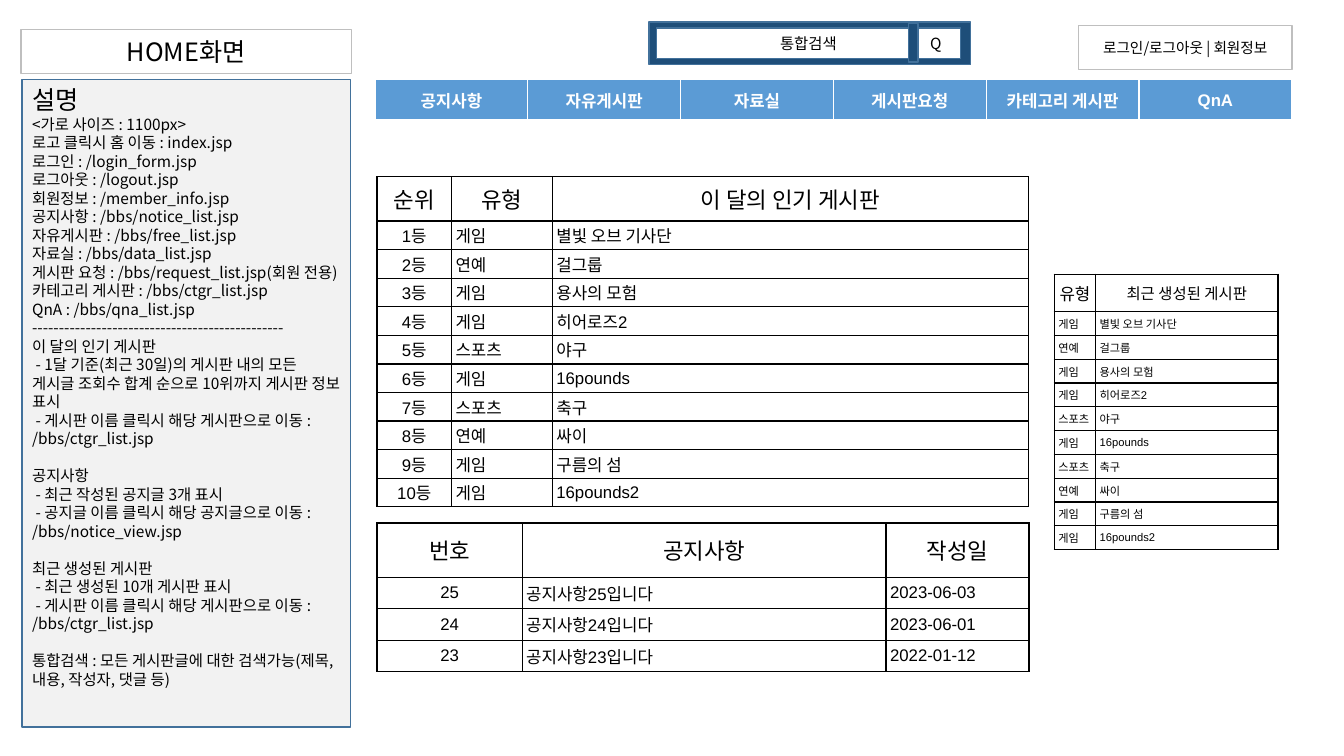
from lxml.etree import SubElement
from pptx import Presentation
from pptx.dml.color import RGBColor
from pptx.enum.shapes import MSO_SHAPE
from pptx.enum.text import MSO_ANCHOR, MSO_AUTO_SIZE, PP_ALIGN
from pptx.oxml import parse_xml
from pptx.oxml.ns import nsdecls, qn
from pptx.util import Cm, Pt

BLACK = RGBColor(0x00, 0x00, 0x00)
WHITE = RGBColor(0xFF, 0xFF, 0xFF)
SILVER = RGBColor(0xBF, 0xBF, 0xBF)
PALE = RGBColor(0xF2, 0xF2, 0xF2)
NAVY = RGBColor(0x1E, 0x4E, 0x79)
STEEL = RGBColor(0x42, 0x71, 0x9B)
BLUE = RGBColor(0x5B, 0x9B, 0xD5)
SANS = "Noto Sans CJK KR"

NOTES = [
    ["<가로 사이즈 : 1100px>",
     "로고 클릭시 홈 이동 : index.jsp",
     "로그인 : /login_form.jsp",
     "로그아웃 : /logout.jsp",
     "회원정보 : /member_info.jsp",
     "공지사항 : /bbs/notice_list.jsp",
     "자유게시판 : /bbs/free_list.jsp",
     "자료실 : /bbs/data_list.jsp",
     "게시판 요청 : /bbs/request_list.jsp(회원 전용)",
     "카테고리 게시판 : /bbs/ctgr_list.jsp",
     "QnA : /bbs/qna_list.jsp",
     "-" * 47,
     "이 달의 인기 게시판",
     " - 1달 기준(최근 30일)의 게시판 내의 모든 게시글 조회수 합계 순으로 10위까지 게시판 정보 표시",
     " - 게시판 이름 클릭시 해당 게시판으로 이동 : /bbs/ctgr_list.jsp"],
    ["공지사항",
     " - 최근 작성된 공지글 3개 표시",
     " - 공지글 이름 클릭시 해당 공지글으로 이동 : /bbs/notice_view.jsp"],
    ["최근 생성된 게시판",
     " - 최근 생성된 10개 게시판 표시",
     " - 게시판 이름 클릭시 해당 게시판으로 이동 : /bbs/ctgr_list.jsp"],
    ["통합검색 : 모든 게시판글에 대한 검색가능(제목, 내용, 작성자, 댓글 등)"],
]
MENU = ["공지사항", "자유게시판", "자료실", "게시판요청", "카테고리 게시판", "QnA"]
BOARDS = [
    ("게임", "별빛 오브 기사단"), ("연예", "걸그룹"), ("게임", "용사의 모험"),
    ("게임", "히어로즈2"), ("스포츠", "야구"), ("게임", "16pounds"),
    ("스포츠", "축구"), ("연예", "싸이"), ("게임", "구름의 섬"),
    ("게임", "16pounds2"),
]
POSTS = [("25", "2023-06-03"), ("24", "2023-06-01"), ("23", "2022-01-12")]


def text(frame, words, size=11, color=BLACK, font=SANS, bold=False,
         align=PP_ALIGN.CENTER, line=None, before=0, more=False):
    """Write one paragraph; with more, add it after the existing ones."""
    para = frame.add_paragraph() if more else frame.paragraphs[0]
    para.alignment = align
    if line:
        para.line_spacing = Pt(line)
    if before:
        para.space_before = Pt(before)
    run = para.add_run()
    run.text = words
    run.font.size, run.font.name, run.font.bold = Pt(size), font, bold
    run.font.color.rgb = color
    SubElement(run.font._element, qn("a:ea")).set("typeface", SANS)


def paint(shape, fill, edge):
    shape.fill.solid()
    shape.fill.fore_color.rgb = fill
    shape.line.color.rgb = edge
    shape.line.width = Pt(1)


def rect(shapes, left, top, width, height, fill, edge):
    shape = shapes.add_shape(MSO_SHAPE.RECTANGLE, Cm(left), Cm(top),
                             Cm(width), Cm(height))
    shape.shadow.inherit = False
    paint(shape, fill, edge)
    shape.text_frame.word_wrap = True
    return shape


def border(cell, color, widths):
    """Draw the left, right, top and bottom edges, widths in points."""
    props = cell._tc.get_or_add_tcPr()
    for spot, (side, width) in enumerate(zip("LRTB", widths)):
        props.insert(spot, parse_xml(
            f'<a:ln{side} {nsdecls("a")} w="{Pt(width)}"><a:solidFill>'
            f'<a:srgbClr val="{color}"/></a:solidFill></a:ln{side}>'))


def grid(slide, left, top, cols, heights, rows, style, fill=None,
         edge=BLACK, edges=(1, 1, 1, 1), pads=(0.1, 0.05)):
    """Build a table; style(row, col) gives the text format of a cell."""
    table = slide.shapes.add_table(
        len(rows), len(cols), Cm(left), Cm(top),
        Cm(sum(cols)), Cm(sum(heights))).table
    table.first_row = table.horz_banding = False
    for col, width in zip(table.columns, cols):
        col.width = Cm(width)
    for row, height in zip(table.rows, heights):
        row.height = Cm(height)
    for r, row in enumerate(rows):
        for c, words in enumerate(row):
            cell = table.cell(r, c)
            cell.margin_left = cell.margin_right = Cm(pads[0])
            cell.margin_top = cell.margin_bottom = Cm(pads[1])
            cell.vertical_anchor = MSO_ANCHOR.MIDDLE
            if fill is None:
                cell.fill.background()
            else:
                cell.fill.solid()
                cell.fill.fore_color.rgb = fill
            border(cell, edge, edges)
            text(cell.text_frame, words, font="Arial", **style(r, c))


def ranked(r, c):
    """Format with a large head row and a centred first column."""
    mid = r == 0 or c == 0
    return {"size": 12 if r else 16,
            "align": PP_ALIGN.CENTER if mid else PP_ALIGN.LEFT}


def small(r, c):
    if r == 0:
        return {"size": 11 if c else 12}
    return {"size": 8, "align": PP_ALIGN.LEFT}


def login(slide, left, top, width, height):
    box = rect(slide.shapes, left, top, width, height, WHITE, SILVER)
    text(box.text_frame, "로그인/로그아웃 | 회원정보", size=10.5)


def search(slide, left, top, width, height):
    shapes = slide.shapes.add_group_shape().shapes
    rect(shapes, left, top, width, height, NAVY, STEEL)
    field = rect(shapes, left + 0.18, top + 0.15, width - 0.43,
                 height - 0.31, WHITE, STEEL)
    text(field.text_frame, "통합검색")
    rect(shapes, left + 6.53, top + 0.03, 0.25, height - 0.1, NAVY, STEEL)
    frame = shapes.add_textbox(Cm(left + 6.68), Cm(top - 0.05), Cm(1.24),
                               Cm(height - 0.05)).text_frame
    frame.word_wrap = True
    frame.vertical_anchor = MSO_ANCHOR.MIDDLE
    frame.margin_right, frame.margin_bottom = Cm(0.4), Cm(0)
    text(frame, "Q")


def title(slide, left, top, width, height):
    box = slide.shapes.title
    box.left, box.top = Cm(left), Cm(top)
    box.width, box.height = Cm(width), Cm(height)
    paint(box, WHITE, SILVER)
    frame = box.text_frame
    frame.auto_size = MSO_AUTO_SIZE.NONE
    frame.vertical_anchor = MSO_ANCHOR.MIDDLE
    text(frame, "HOME화면", size=18)


def notes(slide, left, top, width, height):
    frame = rect(slide.shapes, left, top, width, height,
                 PALE, STEEL).text_frame
    frame.vertical_anchor = MSO_ANCHOR.TOP
    text(frame, "설명", size=18, align=PP_ALIGN.LEFT, line=21.6)
    for part, lines in enumerate(NOTES):
        for spot, words in enumerate(lines):
            gap = 13.2 if part and not spot else 0
            text(frame, words, align=PP_ALIGN.LEFT, line=13.2,
                 before=gap, more=True)


def menu(slide, left, top, width, height):
    grid(slide, left, top, [width / len(MENU)] * len(MENU), [height], [MENU],
         lambda r, c: {"size": 12, "color": WHITE, "bold": True},
         fill=BLUE, edge=WHITE, edges=(1, 1, 1, 3), pads=(0.25, 0.13))


def popular(slide, left, top):
    rows = [("순위", "유형", "이 달의 인기 게시판")]
    rows += [(f"{n}등", *board) for n, board in enumerate(BOARDS, 1)]
    grid(slide, left, top, [1.88, 2.54, 11.99],
         [1.12] + [0.72] * len(BOARDS), rows, ranked)


def news(slide, left, top):
    rows = [("번호", "공지사항", "작성일")]
    rows += [(n, f"공지사항{n}입니다", date) for n, date in POSTS]
    grid(slide, left, top, [3.66, 9.17, 3.6],
         [1.37] + [0.79] * len(POSTS), rows, ranked)


def recent(slide, left, top):
    grid(slide, left, top, [1.04, 4.6], [0.94] + [0.6] * len(BOARDS),
         [("유형", "최근 생성된 게시판")] + BOARDS, small)


def main():
    deck = Presentation()
    deck.slide_width, deck.slide_height = Cm(33.87), Cm(19.05)
    slide = deck.slides.add_slide(deck.slide_layouts.get_by_name("Title Only"))
    login(slide, 27.18, 0.64, 5.38, 1.12)
    search(slide, 16.36, 0.56, 8.1, 1.07)
    menu(slide, 9.45, 2.01, 23.11, 1.04)
    title(slide, 0.53, 0.74, 8.33, 1.12)
    notes(slide, 0.56, 2.01, 8.28, 16.31)
    popular(slide, 9.5, 4.45)
    news(slide, 9.5, 13.18)
    recent(slide, 26.57, 6.91)
    deck.save("out.pptx")


if __name__ == "__main__":
    main()
